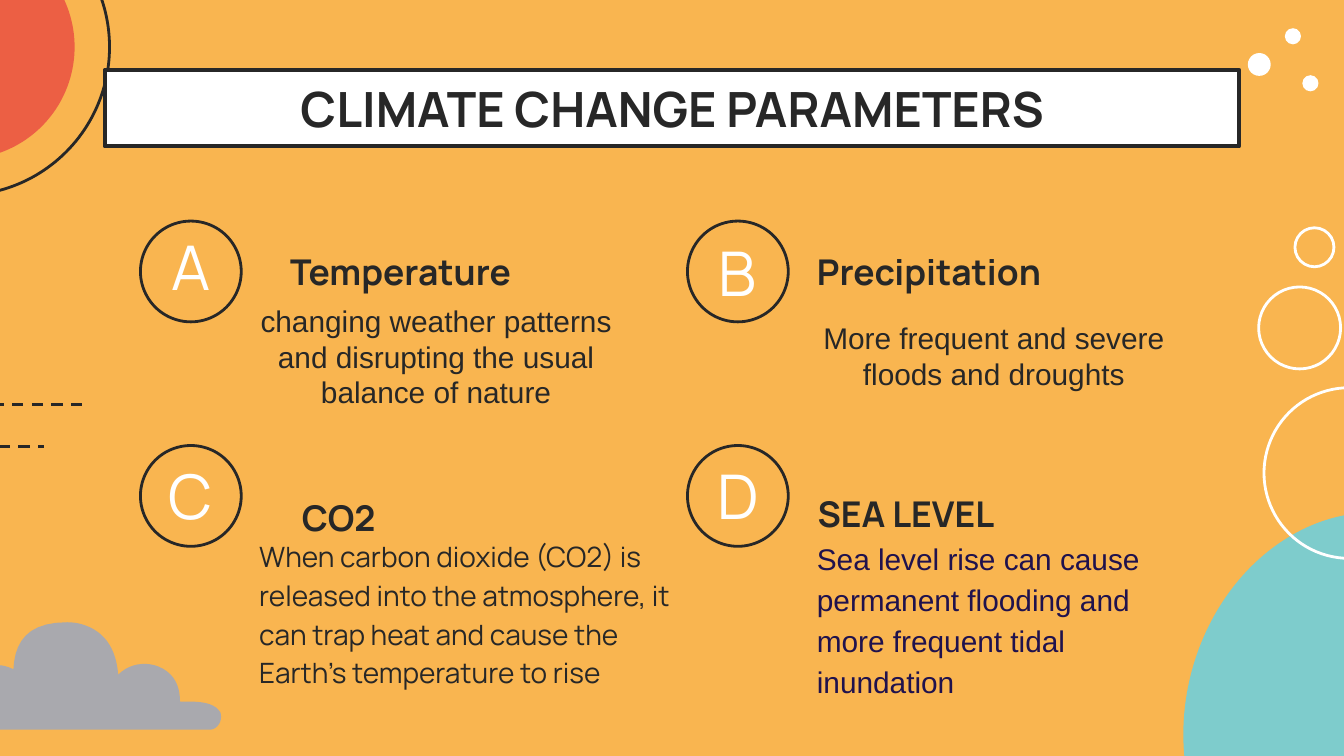
from dataclasses import dataclass

from lxml import etree
from pptx import Presentation
from pptx.dml.color import RGBColor
from pptx.enum.dml import MSO_LINE
from pptx.enum.shapes import MSO_CONNECTOR, MSO_SHAPE
from pptx.enum.text import MSO_ANCHOR, MSO_AUTO_SIZE, PP_ALIGN
from pptx.oxml.ns import qn
from pptx.util import Inches, Pt

OVAL, RECTANGLE = MSO_SHAPE.OVAL, MSO_SHAPE.RECTANGLE
STRAIGHT, DASH = MSO_CONNECTOR.STRAIGHT, MSO_LINE.DASH
TOP, MIDDLE, BOTTOM = MSO_ANCHOR.TOP, MSO_ANCHOR.MIDDLE, MSO_ANCHOR.BOTTOM
LEFT, CENTER = PP_ALIGN.LEFT, PP_ALIGN.CENTER
FIXED_SIZE = MSO_AUTO_SIZE.NONE

COLORS = {"background": "F9B550", "ink": "272727", "white": "FFFFFF", "sun": "EC5F44",
          "sea": "7ECCCC", "cloud": "A9A9AE", "navy": "20124D"}
DISPLAY, PLAIN = "Manrope", "Arial"
WIDTH = Inches(10)
HEIGHT = WIDTH * 9 // 16

# Badge centres form a grid of two columns and two rows.
COLUMNS = (1.42, 5.49)
ROWS = (2.02, 3.69)
BADGE = 0.75

DOTS = ((9.37, 0.48, 0.17), (9.62, 0.27, 0.12), (9.75, 0.62, 0.12))
BUBBLES = ((10.04, 3.52, 1.27), (9.67, 2.44, 0.61), (9.78, 1.84, 0.29))
DASHES = ((-1.47, 0.33, 3.32), (-0.64, 0.63, 3.01))

# Each curve holds two control points and an end point.
CLOUD_START = (0.5, 4.63)
CLOUD_CURVES = (
    (0.2, 4.63, 0.11, 4.78, 0.1, 4.98), (0.06, 4.96, 0.02, 4.95, -0.01, 4.95),
    (-0.11, 4.95, -0.2, 5.01, -0.21, 5.15), (-0.22, 5.12, -0.24, 5.1, -0.27, 5.09),
    (-0.28, 5.08, -0.3, 5.07, -0.32, 5.07), (-0.37, 5.08, -0.46, 5.1, -0.48, 5.2),
    (-0.5, 5.14, -0.55, 5.11, -0.6, 5.09), (-0.7, 5.06, -0.82, 5.1, -0.9, 5.19),
    (-0.93, 5.22, -0.96, 5.27, -0.95, 5.32), (-1, 5.28, -1.06, 5.28, -1.11, 5.34),
    (-1.14, 5.38, -1.14, 5.42, -1.1, 5.44), (-0.74, 5.43, -0.37, 5.43, 0.01, 5.43),
    (0.55, 5.43, 1.05, 5.43, 1.56, 5.43), (1.62, 5.43, 1.66, 5.36, 1.64, 5.3),
    (1.63, 5.29, 1.62, 5.27, 1.6, 5.26), (1.54, 5.22, 1.46, 5.22, 1.34, 5.22),
    (1.34, 5.11, 1.3, 5.01, 1.18, 4.96), (1.08, 4.92, 0.96, 4.94, 0.88, 5.02),
    (0.87, 4.91, 0.84, 4.8, 0.75, 4.72), (0.68, 4.66, 0.59, 4.63, 0.5, 4.63))


@dataclass
class Parameter:
    """Content of one grid cell; offsets are measured from its badge centre."""
    letter: str
    heading: str
    body: str
    letter_drop: float
    heading_offset: tuple
    body_offset: tuple
    body_width: float
    heading_align: PP_ALIGN = LEFT
    body_align: PP_ALIGN = LEFT
    body_font: str = PLAIN
    body_size: int = 16
    body_color: str = "ink"
    line_spacing: float = 1.0


PARAMETERS = (
    Parameter("A", "Temperature",
              "changing weather patterns and disrupting the usual balance of nature",
              -0.04, (0.64, -0.6), (0.41, 0.13), 2.83, body_align=CENTER),
    Parameter("B", "Precipitation", "More frequent and severe floods and droughts",
              0, (0.49, -0.6), (0.49, 0.26), 2.83, body_align=CENTER),
    Parameter("C", "CO2",
              "When carbon dioxide (CO2) is released into the atmosphere, it can trap heat "
              "and cause the Earth's temperature to rise",
              -0.01, (-0.41, -0.44), (0.41, 0.19), 3.42, heading_align=CENTER,
              body_font=DISPLAY, body_size=15, line_spacing=1.15),
    Parameter("D", "SEA LEVEL",
              "Sea level rise can cause permanent flooding and more frequent tidal inundation",
              -0.01, (-0.26, -0.47), (0.49, 0.19), 3.07, heading_align=CENTER,
              body_color="navy", line_spacing=1.15),
)


def rgb(name):
    return RGBColor.from_string(COLORS[name])


def paint(shape, fill=None, line=None, width=1.5):
    shape.shadow.inherit = False
    if fill:
        shape.fill.solid()
        shape.fill.fore_color.rgb = rgb(fill)
    else:
        shape.fill.background()
    if line:
        shape.line.color.rgb = rgb(line)
        shape.line.width = Pt(width)
    else:
        shape.line.fill.background()


def add_preset(slide, preset, box, **style):
    shape = slide.shapes.add_shape(preset, *map(Inches, box))
    paint(shape, **style)
    return shape


def add_circle(slide, x, y, diameter, **style):
    """Add a circle by its centre."""
    box = (x - diameter / 2, y - diameter / 2, diameter, diameter)
    return add_preset(slide, OVAL, box, **style)


def add_dashes(slide, left, right, y):
    line = slide.shapes.add_connector(STRAIGHT, *map(Inches, (left, y, right, y)))
    line.line.color.rgb = rgb("ink")
    line.line.width = Pt(1.5)
    line.line.dash_style = DASH
    etree.SubElement(line._element.spPr, qn("a:effectLst"))


def curve_points(start, curves, steps=10):
    """Sample a chain of cubic curves, in EMU."""
    points = []
    for x1, y1, x2, y2, x3, y3 in curves:
        for step in range(1, steps + 1):
            t = step / steps
            u = 1 - t
            points.append(tuple(
                Inches(u**3 * a + 3 * u * u * t * b + 3 * u * t * t * c + t**3 * d)
                for a, b, c, d in zip(start, (x1, y1), (x2, y2), (x3, y3))))
        start = (x3, y3)
    return points


def add_cloud(slide):
    builder = slide.shapes.build_freeform(*map(Inches, CLOUD_START))
    builder.add_line_segments(curve_points(CLOUD_START, CLOUD_CURVES), close=True)
    paint(builder.convert_to_shape(), fill="cloud")


def write(shape, text, size, font=DISPLAY, color="ink", bold=False,
          align=LEFT, anchor=TOP, spacing=1.0):
    frame = shape.text_frame
    frame.text = text
    frame.word_wrap = True
    frame.auto_size = FIXED_SIZE
    frame.vertical_anchor = anchor
    frame.margin_left = frame.margin_right = Inches(0.1)
    frame.margin_top = frame.margin_bottom = Inches(0.1)
    paragraph = frame.paragraphs[0]
    paragraph.alignment = align
    paragraph.line_spacing = spacing
    for run in paragraph.runs:
        run.font.name = font
        run.font.size = Pt(size)
        run.font.bold = bold
        run.font.color.rgb = rgb(color)


def add_text(slide, box, text, size, **style):
    write(slide.shapes.add_textbox(*map(Inches, box)), text, size, **style)


def add_scenery(slide):
    add_circle(slide, -0.29, 0.35, 2.21, line="ink")
    add_circle(slide, -0.28, 0.35, 1.67, fill="sun")
    sea = add_preset(slide, OVAL, (8.82, 3.8, 2.59, 3.08), fill="sea")
    sea.rotation = 14
    for dot in DOTS:
        add_circle(slide, *dot, fill="white")
    for dashes in DASHES:
        add_dashes(slide, *dashes)
    add_cloud(slide)
    for bubble in BUBBLES:
        add_circle(slide, *bubble, line="white")


def add_title(slide, text):
    add_preset(slide, RECTANGLE, (0.78, 0.52, 8.44, 0.57),
               fill="white", line="ink", width=2.25)
    title = slide.shapes.title
    title.left, title.top, title.width, title.height = map(Inches, (1.07, 0.49, 7.87, 0.63))
    write(title, text, 26, bold=True, align=CENTER, anchor=MIDDLE)
    slide.shapes._spTree.append(title._element)  # in front of the banner


def add_parameter(slide, item, x, y):
    add_circle(slide, x, y, BADGE, line="ink")
    add_text(slide, (x - 0.49, y + item.letter_drop - 0.29, 0.98, 0.58), item.letter, 33,
             color="white", align=CENTER, anchor=MIDDLE)
    dx, dy = item.heading_offset
    add_text(slide, (x + dx, y + dy, 3.02, 0.86), item.heading, 19,
             bold=True, align=item.heading_align, anchor=BOTTOM)
    dx, dy = item.body_offset
    add_text(slide, (x + dx, y + dy, item.body_width, 0.82), item.body, item.body_size,
             font=item.body_font, color=item.body_color, align=item.body_align,
             spacing=item.line_spacing)


def main():
    deck = Presentation()
    deck.slide_width, deck.slide_height = WIDTH, HEIGHT
    slide = deck.slides.add_slide(deck.slide_layouts[5])
    slide.background.fill.solid()
    slide.background.fill.fore_color.rgb = rgb("background")
    add_scenery(slide)
    add_title(slide, "CLIMATE CHANGE PARAMETERS")
    for index, item in enumerate(PARAMETERS):
        row, column = divmod(index, len(COLUMNS))
        add_parameter(slide, item, COLUMNS[column], ROWS[row])
    deck.save("out.pptx")


if __name__ == "__main__":
    main()
